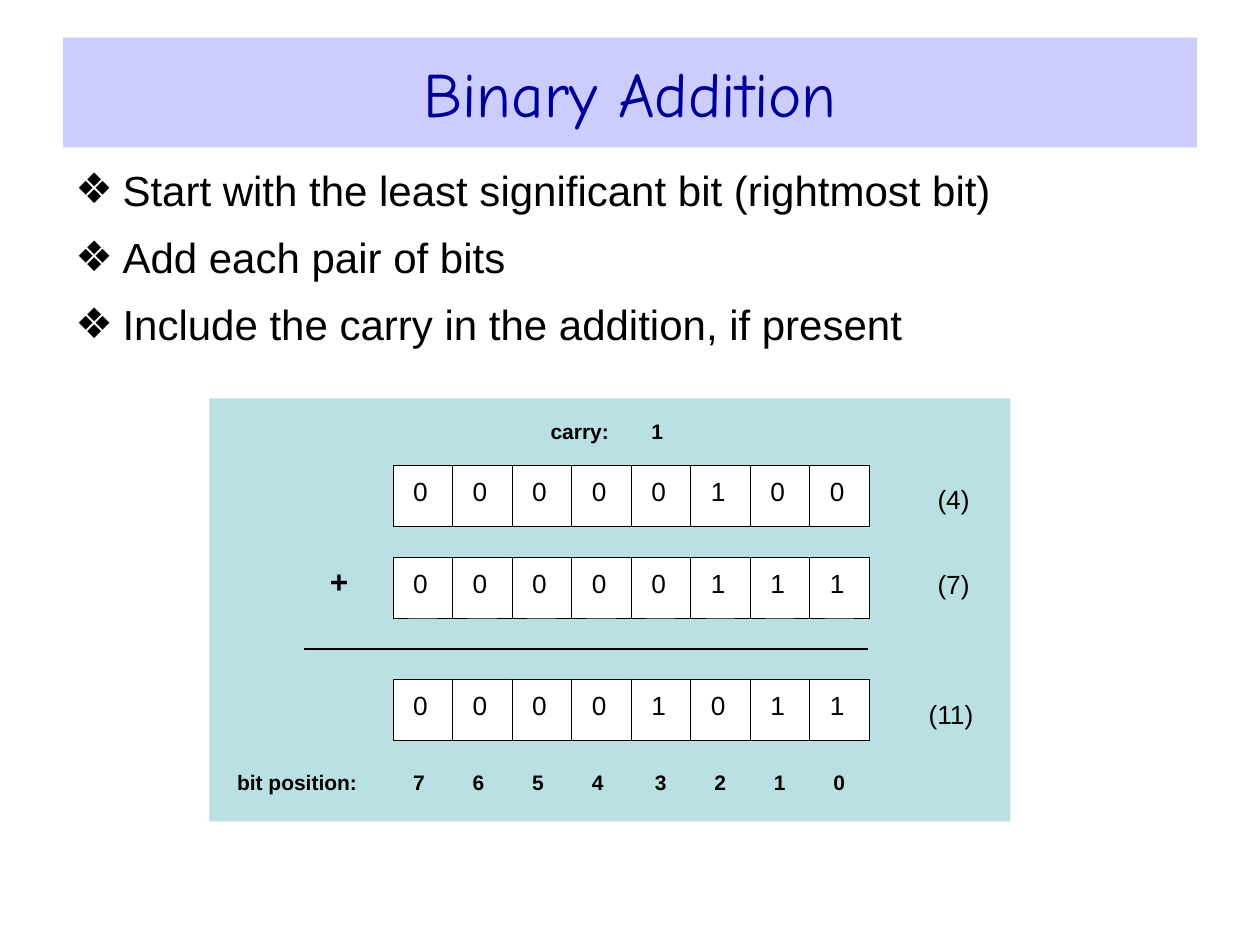
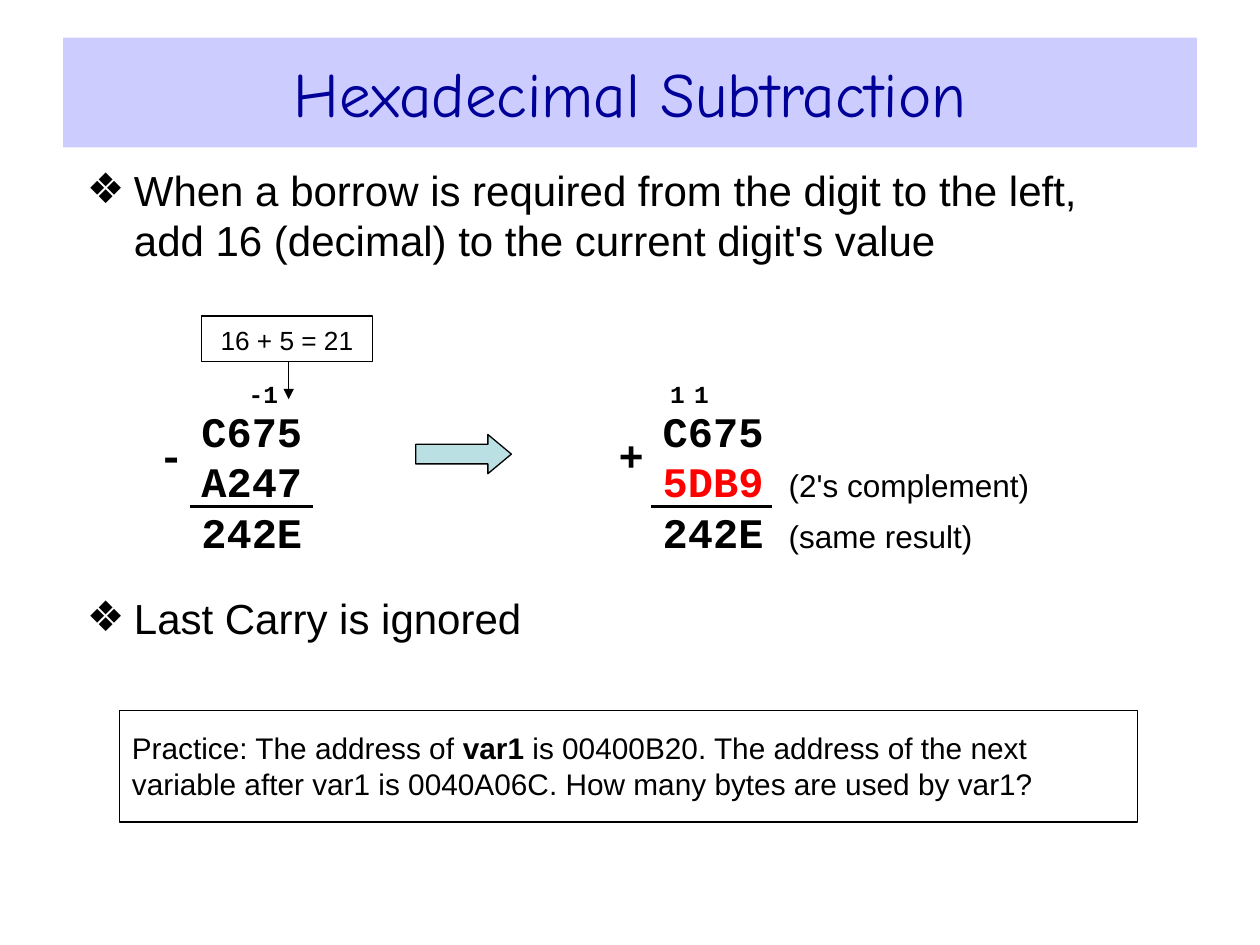
"""Build two slides on binary addition and hexadecimal subtraction."""
from lxml.etree import SubElement
from pptx import Presentation
from pptx.dml.color import RGBColor
from pptx.enum.shapes import MSO_CONNECTOR, MSO_SHAPE
from pptx.enum.text import MSO_ANCHOR, MSO_AUTO_SIZE, PP_ALIGN
from pptx.oxml.ns import qn
from pptx.util import Cm, Pt

BLACK = RGBColor(0x00, 0x00, 0x00)
WHITE = RGBColor(0xFF, 0xFF, 0xFF)
RED = RGBColor(0xFF, 0x00, 0x00)
NAVY = RGBColor(0x00, 0x00, 0x99)
LAVENDER = RGBColor(0xCC, 0xCC, 0xFF)
TEAL = RGBColor(0xBB, 0xE0, 0xE3)
SANS, MONO, TITLE_FONT = "Arial", "Courier New", "Comic Neue"


def write(shape, paragraphs, inset=(0, 0), anchor=MSO_ANCHOR.TOP,
          align=PP_ALIGN.LEFT, spacing=1.0):
    """Fill a shape with paragraphs of (text, size, bold, font, colour) runs."""
    frame = shape.text_frame
    frame.word_wrap = True
    frame.auto_size = MSO_AUTO_SIZE.NONE
    frame.vertical_anchor = anchor
    frame.margin_left = frame.margin_right = Cm(inset[0])
    frame.margin_top = frame.margin_bottom = Cm(inset[1])
    for index, runs in enumerate(paragraphs):
        paragraph = frame.add_paragraph() if index else frame.paragraphs[0]
        paragraph.alignment = align
        paragraph.line_spacing = spacing
        for text, size, bold, font, color in runs:
            run = paragraph.add_run()
            run.text = text
            run.font.size = Pt(size)
            run.font.bold = bold
            run.font.name = font
            run.font.color.rgb = color


def add_box(slide, kind, bounds, fill=None, outline=None, weight=0.75):
    """Add a preset shape with a plain fill and outline."""
    shape = slide.shapes.add_shape(kind, *map(Cm, bounds))
    shape.shadow.inherit = False
    if fill is None:
        shape.fill.background()
    else:
        shape.fill.solid()
        shape.fill.fore_color.rgb = fill
    if outline is None:
        shape.line.fill.background()
    else:
        shape.line.color.rgb = outline
        shape.line.width = Pt(weight)
    return shape


prs = Presentation()
prs.slide_width, prs.slide_height = Cm(25.4), Cm(19.05)

outline = [
    ("Binary Addition", (1.27, 3.18, 22.86, 5.56), 9.6,
     ["Start with the least significant bit (rightmost bit)",
      "Add each pair of bits",
      "Include the carry in the addition, if present"]),
    ("Hexadecimal Subtraction", (1.5, 3.18, 21.62, 10.67), 187,
     ["When a borrow is required from the digit to the left, "
      "add 16 (decimal) to the current digit's value",
      "Last Carry is ignored"]),
]
for heading, bounds, gap, points in outline:
    slide = prs.slides.add_slide(prs.slide_layouts[1])
    title, body = slide.placeholders
    title.left, title.top, title.width, title.height = map(Cm, (1.27, 0.76, 22.86, 2.21))
    title.fill.solid()
    title.fill.fore_color.rgb = LAVENDER
    write(title, [[(heading, 36, False, TITLE_FONT, NAVY)]], (0.25, 0.13),
          MSO_ANCHOR.MIDDLE, PP_ALIGN.CENTER)
    body.left, body.top, body.width, body.height = map(Cm, bounds)
    write(body, [[(point, 24, False, SANS, BLACK)] for point in points], (0.25, 0.13))
    for index, paragraph in enumerate(body.text_frame.paragraphs):
        paragraph.space_before = Pt(gap if index else 0)
        properties = paragraph._p.get_or_add_pPr()
        properties.set("marL", str(Cm(0.95)))
        properties.set("indent", str(Cm(-0.95)))
        SubElement(properties, qn("a:buFont")).set("typeface", SANS)
        SubElement(properties, qn("a:buChar")).set("char", "❖")

addition, subtraction = prs.slides

add_box(addition, MSO_SHAPE.RECTANGLE, (4.22, 8.03, 16.15, 8.53), TEAL)
BIT_LEFT, BIT_WIDTH, BIT_HEIGHT = 7.92, 1.2, 1.23
for top, bits in [(9.38, "00000100"), (11.23, "00000111"), (13.69, "00001011")]:
    for column, bit in enumerate(bits):
        cell = add_box(addition, MSO_SHAPE.RECTANGLE,
                       (BIT_LEFT + column * BIT_WIDTH, top, BIT_WIDTH, BIT_HEIGHT),
                       WHITE, BLACK, 0.38)
        write(cell, [[(bit, 15, False, SANS, BLACK)]], (0.41, 0.21))

labels = [
    ("carry:", 11.1, 8.43, 12, True),
    ("1", 13.13, 8.43, 12, True),
    ("+", 6.65, 11.33, 18, True),
    ("(4)", 18.9, 9.75, 15, False),
    ("(7)", 18.9, 11.45, 15, False),
    ("(11)", 18.72, 14.07, 15, False),
    ("bit position:", 4.78, 15.52, 12, True),
]
for column in range(8):
    nudge = 0.07 if column > 3 else 0
    labels.append((str(7 - column), 8.33 + column * BIT_WIDTH + nudge, 15.52, 12, True))
for text, left, top, size, bold in labels:
    width = 3 if len(text) > 6 else 1.6
    label = addition.shapes.add_textbox(Cm(left), Cm(top), Cm(width), Cm(0.8))
    write(label, [[(text, size, bold, SANS, BLACK)]])

practice = add_box(subtraction, MSO_SHAPE.RECTANGLE, (2.41, 14.33, 20.52, 2.24), None, BLACK)
write(practice, [[
    ("Practice: The address of ", 17, False, SANS, BLACK),
    ("var1", 17, True, SANS, BLACK),
    (" is 00400B20. The address of the next variable after var1 is 0040A06C. "
     "How many bytes are used by var1?", 17, False, SANS, BLACK),
]], (0.25, 0.38))

borrow = add_box(subtraction, MSO_SHAPE.RECTANGLE, (4.06, 6.37, 3.45, 0.92), WHITE, BLACK)
write(borrow, [[("16 + 5 = 21", 15, False, SANS, BLACK)]], (0.25, 0.1),
      MSO_ANCHOR.MIDDLE, PP_ALIGN.CENTER, 1.1)

becomes = add_box(subtraction, MSO_SHAPE.RIGHT_ARROW, (8.38, 8.76, 1.93, 0.79), TEAL, BLACK)
becomes.adjustments[0], becomes.adjustments[1] = 0.5, 0.6

calculations = [
    (4.06, "-", 3.2, [("A247", BLACK, ""), ("242E", BLACK, "")]),
    (13.36, "+", 12.47, [("5DB9 ", RED, "(2's complement)"), ("242E ", BLACK, "(same result)")]),
]
for left, sign, sign_left, rows in calculations:
    paragraphs = [[("C675", 24, True, MONO, BLACK)]]
    for number, color, remark in rows:
        runs = [(number, 24, True, MONO, color)]
        if remark:
            runs.append((remark, 18, False, SANS, BLACK))
        paragraphs.append(runs)
    column = subtraction.shapes.add_textbox(Cm(left), Cm(8.17), Cm(8), Cm(3.1))
    write(column, paragraphs)
    operator = subtraction.shapes.add_textbox(Cm(sign_left), Cm(8.66), Cm(0.8), Cm(1.1))
    write(operator, [[(sign, 24, True, MONO, BLACK)]])

for text, left in [("-1", 4.99), ("1", 13.34), ("1", 13.82)]:
    carry = subtraction.shapes.add_textbox(Cm(left), Cm(7.65), Cm(0.64), Cm(0.58))
    write(carry, [[(text, 14, True, MONO, BLACK)]],
          anchor=MSO_ANCHOR.MIDDLE, align=PP_ALIGN.CENTER)

rules = [
    (addition, (6.12, 13.08, 17.5, 13.08), 1.13, False),
    (subtraction, (3.84, 10.21, 6.3, 10.21), 1.5, False),
    (subtraction, (13.13, 10.21, 15.57, 10.21), 1.5, False),
    (subtraction, (5.82, 7.29, 5.82, 8.05), 0.75, True),
]
for slide, ends, weight, has_arrowhead in rules:
    rule = slide.shapes.add_connector(MSO_CONNECTOR.STRAIGHT, *map(Cm, ends))
    rule.line.color.rgb = BLACK
    rule.line.width = Pt(weight)
    if has_arrowhead:
        SubElement(rule.line._get_or_add_ln(), qn("a:tailEnd")).set("type", "triangle")
    SubElement(rule._element.spPr, qn("a:effectLst"))

prs.save("out.pptx")
